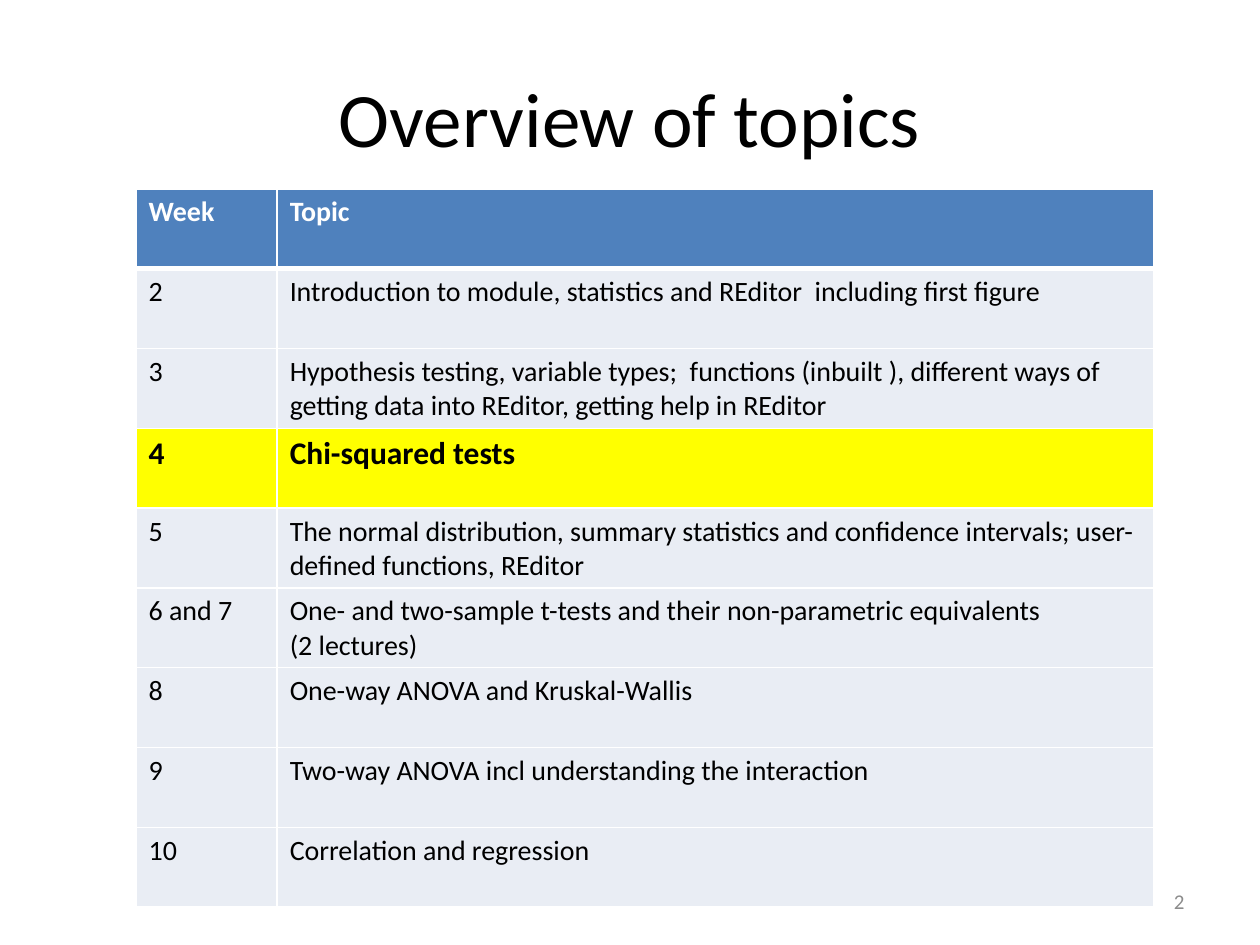
from pptx import Presentation
from pptx.dml.color import RGBColor
from pptx.enum import text as t
from pptx.oxml import parse_xml
from pptx.oxml.ns import nsdecls
from pptx.util import Inches, Pt

BLACK = RGBColor(0x00, 0x00, 0x00)
WHITE = RGBColor(0xFF, 0xFF, 0xFF)
BLUE = RGBColor(0x4F, 0x81, 0xBD)
PALE = RGBColor(0xE9, 0xED, 0xF4)
YELLOW = RGBColor(0xFF, 0xFF, 0x00)
GREY = RGBColor(0x8C, 0x8C, 0x8C)

HEAD = dict(color=WHITE, bold=True)
FOCUS = dict(size=18, bold=True)
NOW = "4"
TOPICS = [
    ("Week", "Topic"),
    ("2", "Introduction to module, statistics and REditor  including first figure"),
    ("3", "Hypothesis testing, variable types;  functions (inbuilt ), different ways of "
          "getting data into REditor, getting help in REditor"),
    (NOW, "Chi-squared tests"),
    ("5", "The normal distribution, summary statistics and confidence intervals; "
          "user-defined functions, REditor"),
    ("6 and 7", "One- and two-sample t-tests and their non-parametric equivalents\n(2 lectures)"),
    ("8", "One-way ANOVA and Kruskal-Wallis"),
    ("9", "Two-way ANOVA incl understanding the interaction"),
    ("10", "Correlation and regression"),
]


def write(frame, words, size=16, color=BLACK, bold=False, align=t.PP_ALIGN.LEFT):
    frame.word_wrap = True
    frame.text = words
    for para in frame.paragraphs:
        para.alignment = align
        for run in para.runs:
            font = run.font
            font.name = "Calibri"
            font.size = Pt(size)
            font.bold = bold
            font.color.rgb = color


def label(slide, words, left, top, width, height, **style):
    box = slide.shapes.add_textbox(Inches(left), Inches(top), Inches(width), Inches(height))
    box.text_frame.vertical_anchor = t.MSO_ANCHOR.MIDDLE
    write(box.text_frame, words, **style)


def edge(cell, side, width):
    cell._tc.get_or_add_tcPr().append(parse_xml(
        f'<a:ln{side} {nsdecls("a")} w="{Pt(width)}"><a:solidFill>'
        f'<a:srgbClr val="{WHITE}"/></a:solidFill></a:ln{side}>'))


def topic_table(slide, rows):
    height = 5.7
    shape = slide.shapes.add_table(len(rows), 2, Inches(1.08), Inches(1.5),
                                   Inches(8.08), Inches(height))
    table = shape.table
    for col, width in zip(table.columns, (1.12, 6.96)):
        col.width = Inches(width)
    for i, row in enumerate(rows):
        table.rows[i].height = Inches(height / len(rows))
        if i == 0:
            fill, style = BLUE, HEAD
        elif row[0] == NOW:
            fill, style = YELLOW, FOCUS
        else:
            fill, style = PALE, {}
        for j, words in enumerate(row):
            cell = table.cell(i, j)
            write(cell.text_frame, words, **style)
            for side in "LRTB":
                thick = (i, side) in ((0, "B"), (1, "T"))
                edge(cell, side, 3 if thick else 1)
            cell.fill.solid()
            cell.fill.fore_color.rgb = fill


def main():
    deck = Presentation()
    deck.slide_width, deck.slide_height = Inches(10), Inches(7.5)
    slide = deck.slides.add_slide(deck.slide_layouts[6])
    label(slide, "Overview of topics", 0.5, 0.3, 9, 1.25, size=44, align=t.PP_ALIGN.CENTER)
    topic_table(slide, TOPICS)
    label(slide, "2", 7.17, 6.95, 2.33, 0.4, size=12, color=GREY, align=t.PP_ALIGN.RIGHT)
    deck.save("out.pptx")


if __name__ == "__main__":
    main()
